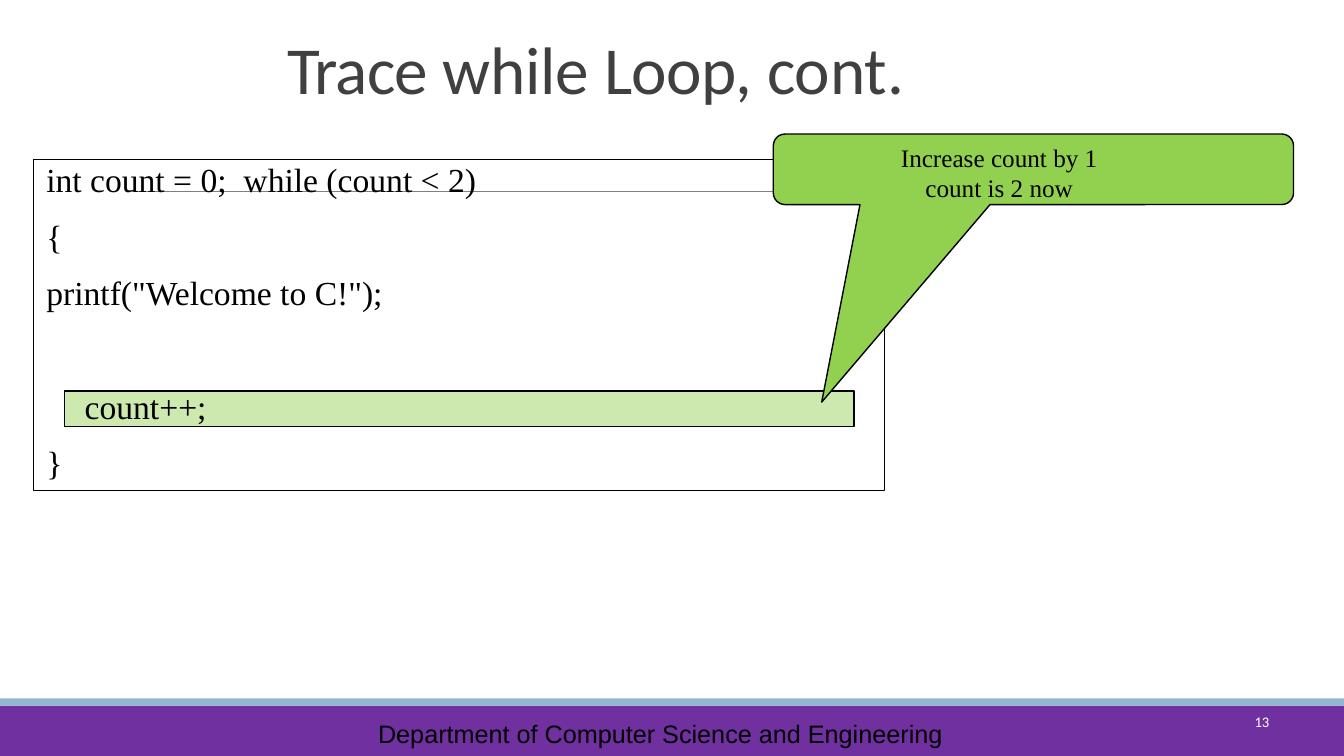
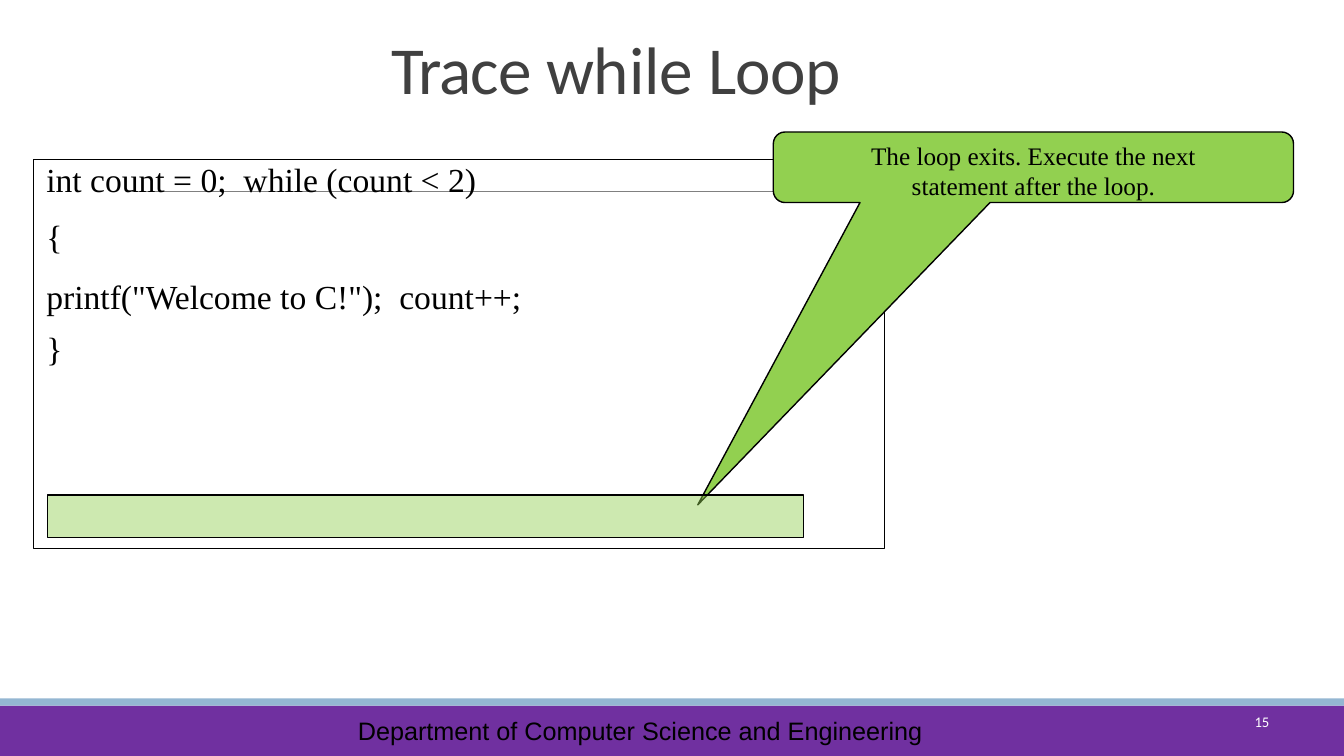
from dataclasses import dataclass

from pptx import Presentation, util as u
from pptx.dml.color import RGBColor
from pptx.enum import shapes, text
from pptx.oxml import ns, xmlchemy


@dataclass
class Theme:
    band: str = "7030A0"
    strip: str = "94B6D2"
    rule: str = "808080"
    head: str = "404040"
    ink: str = "000000"
    pale: str = "FFFFFF"
    green: str = "92D050"
    sans: str = "Calibri"
    serif: str = "Times New Roman"
    plain: str = "Arial"
    title: float = 48
    code: float = 24
    note: float = 18
    page: float = 10.5


T = Theme()
LEFT, MID, RIGHT = text.PP_ALIGN.LEFT, text.PP_ALIGN.CENTER, text.PP_ALIGN.RIGHT
TOP, CORE, BASE = (text.MSO_ANCHOR.TOP, text.MSO_ANCHOR.MIDDLE,
                   text.MSO_ANCHOR.BOTTOM)
RECT = shapes.MSO_SHAPE.RECTANGLE
TALK = shapes.MSO_SHAPE.ROUNDED_RECTANGULAR_CALLOUT


def draw(page, kind, at, fill=None, line=None, width=1, alpha=None):
    """Add a preset shape with an optional fill, outline and opacity."""
    item = page.shapes.add_shape(kind, *map(u.Inches, at))
    item.shadow.inherit = False
    if fill:
        item.fill.solid()
        item.fill.fore_color.rgb = RGBColor.from_string(fill)
    else:
        item.fill.background()
    if alpha:
        tint = item.element.spPr.find(ns.qn("a:solidFill"))[0]
        mark = xmlchemy.OxmlElement("a:alpha")
        mark.set("val", str(alpha * 1000))
        tint.append(mark)
    if line:
        item.line.color.rgb = RGBColor.from_string(line)
        item.line.width = u.Pt(width)
    else:
        item.line.fill.background()
    return item


def write(frame, rows, font, size, color, align=LEFT, anchor=TOP, inset=0):
    """Fill a frame; a row is (runs, line spacing, space before),
    a run is (words, letter spacing in points)."""
    frame.word_wrap = True
    frame.vertical_anchor = anchor
    frame.margin_left = u.Inches(inset)
    frame.margin_right = frame.margin_bottom = 0
    frame.margin_top = u.Inches(0.01)
    for n, (runs, gap, before) in enumerate(rows):
        para = frame.add_paragraph() if n else frame.paragraphs[0]
        para.alignment = align
        para.line_spacing = gap
        para.space_before = u.Pt(before)
        for words, track in runs:
            run = para.add_run()
            run.text = words
            run.font.name = font
            run.font.size = u.Pt(size)
            run.font.color.rgb = RGBColor.from_string(color)
            if track:
                run.font._element.set("spc", str(round(track * 100)))


# Content of each slide
intro = [([("int count = 0;  while (count < 2)", 0)], 1.4, 1),
         ([("{", 0)], 1, 11.5)]
start = [("Trace ", -0.7), ("while ", -0.1)]
deck = [
    dict(
        title=start + [("Loop, ", -0.5), ("cont.", -0.1)], left=2.85,
        frame=3.29,
        code=intro + [([('printf("Welcome to C!");', 0)], 1, 11.5)],
        brace=True,
        bar=(0.64, 3.88, 7.83, 0.35), label="count++;",
        order=("bar", "talk"), top=1.33, tip=(8.15, 3.99),
        note=("Increase count by 1", "count is 2 now"), mid=9.91,
        number="13", foot=(3.75, 7.12),
    ),
    dict(
        title=start + [("Loop", -0.5)], left=3.88,
        frame=3.86,
        code=intro + [
            ([('printf("Welcome to C!");  count++;', 0)], u.Pt(40.2), 3.2),
            ([("}", 0)], 1, 8.2)],
        brace=False,
        bar=(0.47, 4.91, 7.5, 0.42), label="",
        order=("talk", "bar"), top=1.31, tip=(6.92, 5.01),
        note=("The loop exits. Execute the next", "statement after the loop."),
        mid=10.25,
        number="15", foot=(3.55, 7.09),
    ),
]

prs = Presentation()
prs.slide_width, prs.slide_height = u.Inches(13.33), u.Inches(7.5)

for data in deck:
    page = prs.slides.add_slide(prs.slide_layouts[6])

    # Bands and rule
    draw(page, RECT, (0, 7, 13.33, 0.5), T.band)
    draw(page, RECT, (0, 6.93, 13.33, 0.07), T.strip)
    rule = page.shapes.add_connector(
        shapes.MSO_CONNECTOR.STRAIGHT,
        *map(u.Inches, (1.31, 1.9, 12.2, 1.9)))
    rule.line.color.rgb = RGBColor.from_string(T.rule)
    rule.line.width = u.Pt(0.5)
    rule._element.spPr.append(xmlchemy.OxmlElement("a:effectLst"))

    # Title
    area = page.shapes.add_textbox(
        *map(u.Inches, (data["left"], 0.25, 7.64, 0.82)))
    write(area.text_frame, [(data["title"], 1, 1.1)],
          T.sans, T.title, T.head, anchor=BASE)

    # Code listing
    draw(page, RECT, (0.33, 1.58, 8.44, data["frame"]), line=T.ink, width=0.75)
    area = page.shapes.add_textbox(*map(u.Inches, (0.46, 1.41, 6, 2.27)))
    write(area.text_frame, data["code"], T.serif, T.code, T.ink)
    if data["brace"]:
        area = page.shapes.add_textbox(
            *map(u.Inches, (0.46, 4.37, 0.25, 0.43)))
        write(area.text_frame, [([("}", 0)], 1, 1)], T.serif, T.code, T.ink)

    # Highlight bar and callout, back to front
    for part in data["order"]:
        if part == "bar":
            bar = draw(page, RECT, data["bar"], T.green, T.ink, alpha=45)
            if data["label"]:
                write(bar.text_frame,
                      [([(data["label"], 0)], u.Pt(24.6), 0)],
                      T.serif, T.code, T.ink, inset=0.2)
        else:
            x, y, w, h = 7.67, data["top"], 5.16, 0.7
            talk = draw(page, TALK, (x, y, w, h), T.green, T.ink)
            talk.adjustments[0] = (data["tip"][0] - x) / w - 0.5
            talk.adjustments[1] = (data["tip"][1] - y) / h - 0.5
            area = page.shapes.add_textbox(
                *map(u.Inches, (data["mid"] - 2.16, y + 0.07, 4.32, 0.63)))
            write(area.text_frame,
                  [([(words, 0)], 1, 0 if n else 1)
                   for n, words in enumerate(data["note"])],
                  T.serif, T.note, T.ink, MID)

    # Page number and footer
    area = page.shapes.add_textbox(*map(u.Inches, (12.25, 7.07, 0.34, 0.17)))
    write(area.text_frame, [([(data["number"], 0)], u.Pt(12.4), 0)],
          T.sans, T.page, T.pale, RIGHT, CORE)
    area = page.shapes.add_textbox(*map(u.Inches, (*data["foot"], 6, 0.3)))
    write(area.text_frame,
          [([("Department of Computer Science and Engineering", 0)], 1, 0)],
          T.plain, T.note, T.ink)

prs.save("out.pptx")
